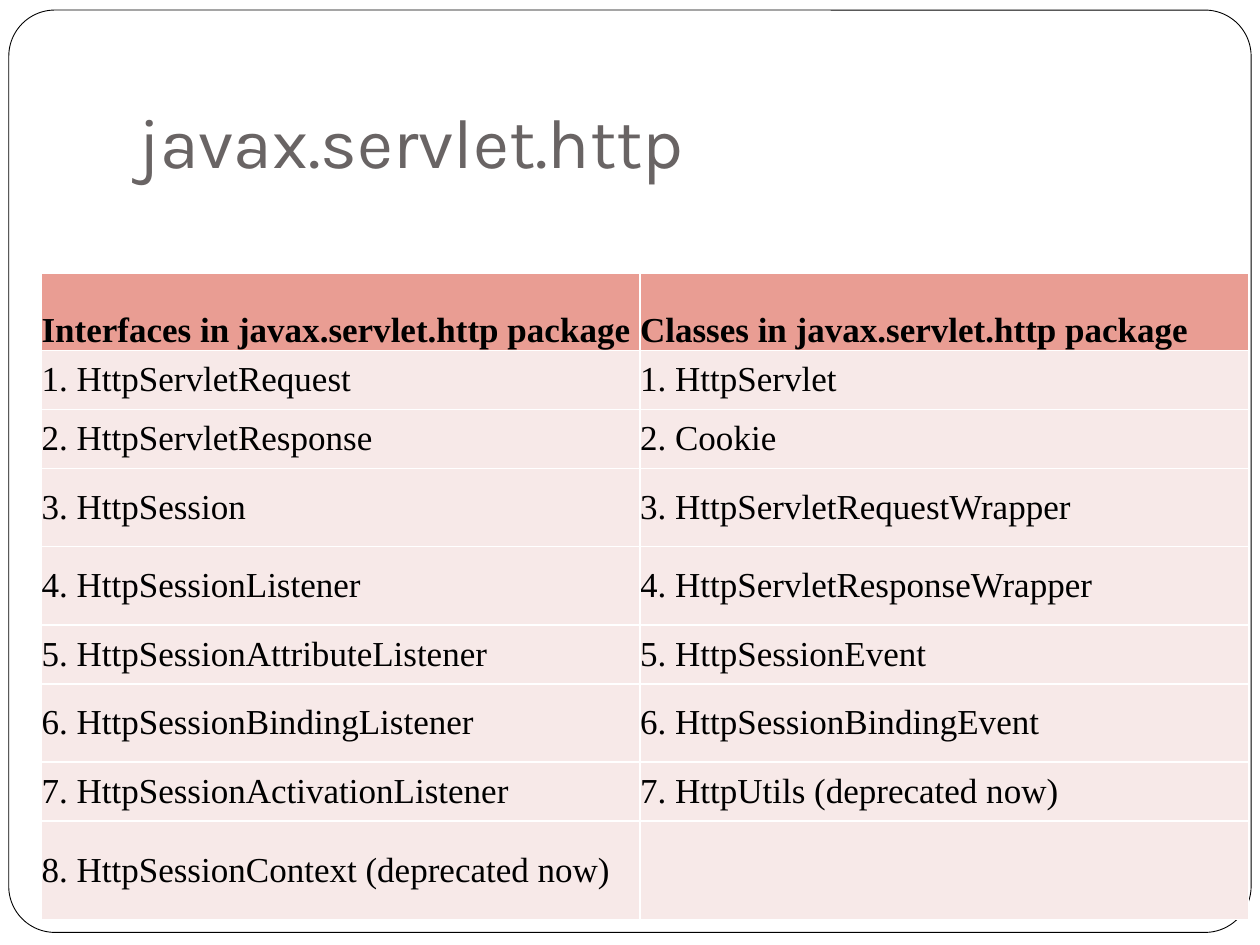
from lxml import etree
from pptx import Presentation
from pptx.dml.color import RGBColor
from pptx.enum.shapes import MSO_SHAPE
from pptx.enum.text import MSO_ANCHOR, PP_ALIGN
from pptx.oxml.ns import qn
from pptx.util import Inches, Pt

ROUNDED = MSO_SHAPE.ROUNDED_RECTANGLE
MIDDLE, BOTTOM = MSO_ANCHOR.MIDDLE, MSO_ANCHOR.BOTTOM
JUSTIFY = PP_ALIGN.JUSTIFY
WHITE = RGBColor(0xFF, 0xFF, 0xFF)
BLACK = RGBColor(0, 0, 0)
GRAY = RGBColor(0x69, 0x64, 0x64)
CORAL = RGBColor(0xE9, 0x9D, 0x93)
BLUSH = RGBColor(0xF7, 0xE9, 0xE8)

INTERFACES = ["HttpServletRequest", "HttpServletResponse", "HttpSession",
              "HttpSessionListener", "HttpSessionAttributeListener",
              "HttpSessionBindingListener", "HttpSessionActivationListener",
              "HttpSessionContext (deprecated now)"]
CLASSES = ["HttpServlet", "Cookie", "HttpServletRequestWrapper",
           "HttpServletResponseWrapper", "HttpSessionEvent",
           "HttpSessionBindingEvent", "HttpUtils (deprecated now)"]
COL_WIDTHS = [4.75, 4.83]
ROW_HEIGHTS = [0.61, 0.47, 0.47, 0.62, 0.62, 0.47, 0.62, 0.47, 0.78]


class SlideBuilder:
    """Holds the style and the current slide, and adds its elements."""

    title_font = "Karla"
    body_font = "Times New Roman"

    def __init__(self, prs):
        self.s = prs.slides.add_slide(prs.slide_layouts[6])

    def frame(self, x, y, w, h):
        sp = self.s.shapes.add_shape(ROUNDED, Inches(x), Inches(y), Inches(w), Inches(h))
        sp.adjustments[0] = 0.05
        sp.shadow.inherit = False
        sp.fill.solid()
        sp.fill.fore_color.rgb = WHITE
        sp.line.color.rgb = BLACK
        sp.line.width = Pt(0.5)

    def style(self, p, name, size, color, bold=False):
        for r in p.runs:
            r.font.name = name
            r.font.size = Pt(size)
            r.font.bold = bold
            r.font.color.rgb = color

    def title(self, text, x, y, w, h):
        sp = self.s.shapes.add_textbox(Inches(x), Inches(y), Inches(w), Inches(h))
        tf = sp.text_frame
        tf.word_wrap = True
        tf.vertical_anchor = BOTTOM
        tf.margin_bottom = Inches(0.1)
        tf.text = text
        self.style(tf.paragraphs[0], self.title_font, 40, GRAY)

    def borders(self, cell):
        tc_pr = cell._tc.get_or_add_tcPr()
        for i, side in enumerate(("lnL", "lnR", "lnT", "lnB")):
            ln = etree.Element(qn(f"a:{side}"), w=str(Pt(1)))
            fill = etree.SubElement(ln, qn("a:solidFill"))
            etree.SubElement(fill, qn("a:srgbClr"), val=str(WHITE))
            tc_pr.insert(i, ln)

    def cell(self, cell, text, header):
        cell.margin_left = cell.margin_right = 0
        cell.margin_top = cell.margin_bottom = 0
        cell.vertical_anchor = BOTTOM if header else MIDDLE
        cell.fill.solid()
        cell.fill.fore_color.rgb = CORAL if header else BLUSH
        self.borders(cell)
        cell.text_frame.text = text
        p = cell.text_frame.paragraphs[0]
        p.alignment = JUSTIFY
        self.style(p, self.body_font, 20, BLACK, header)

    def table(self, columns, x, y, widths, heights):
        table = self.s.shapes.add_table(
            len(heights), len(widths), Inches(x), Inches(y),
            Inches(sum(widths)), Inches(sum(heights))).table
        for row, height in zip(table.rows, heights):
            row.height = Inches(height)
        for c, (width, (heading, names)) in enumerate(zip(widths, columns)):
            table.columns[c].width = Inches(width)
            texts = [heading] + [f"{n}. {name}" for n, name in enumerate(names, 1)]
            texts += [""] * (len(heights) - len(texts))
            for r, text in enumerate(texts):
                self.cell(table.cell(r, c), text, r == 0)


def main():
    prs = Presentation()
    prs.slide_width, prs.slide_height = Inches(10), Inches(7.5)
    slide = SlideBuilder(prs)
    slide.frame(0.07, 0.08, 9.86, 7.32)
    slide.title("javax.servlet.http", 1, 0.3, 8.5, 1.25)
    slide.table([("Interfaces in javax.servlet.http package", INTERFACES),
                 ("Classes in javax.servlet.http package", CLASSES)],
                0.33, 2.17, COL_WIDTHS, ROW_HEIGHTS)
    prs.save("out.pptx")


if __name__ == "__main__":
    main()
